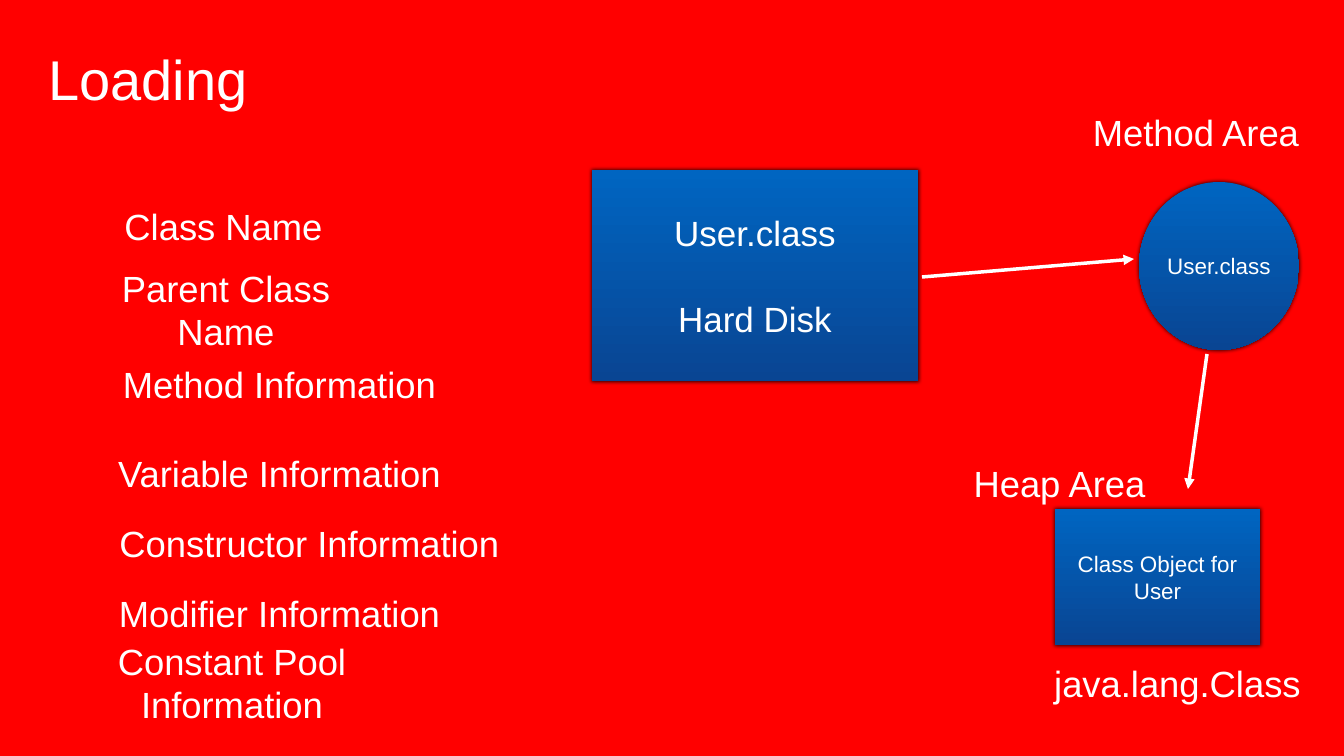
from lxml import etree
from pptx import Presentation
from pptx import util as u
from pptx.dml.color import RGBColor as Rgb
from pptx.enum import shapes, text
from pptx.oxml import ns

PX = 18143  # EMU in one px
THEME = {
    "back": Rgb(255, 0, 0), "ink": Rgb(255, 255, 255),
    "top": Rgb(0, 0x65, 0xC1), "base": Rgb(9, 0x45, 0x93), "shade": "000000",
    "title": 80, "label": 52, "disk": 50, "node": 32, "line": 5,
}
RECT, OVAL = shapes.MSO_SHAPE.RECTANGLE, shapes.MSO_SHAPE.OVAL
PAD, ROW, GAP = 3, 49, 62  # px, px, pt

TITLE = ("Loading", 42, 42, 212, 73)
# text, left, top, width, room kept free at the right so the text wraps
LABELS = [
    ("Class Name", 121, 201, 205, 0),
    ("Parent Class Name", 120, 285, 319, 107),
    ("Method Information", 118, 359, 323, 0),
    ("Variable Information", 114, 448, 331, 0),
    ("Constructor Information", 115, 518, 389, 0),
    ("Modifier Information", 114, 588, 331, 0),
    ("Constant Pool Information", 115, 658, 426, 192),
    ("java.lang.Class", 1050, 658, 255, 0),
    ("Method Area", 1088, 107, 216, 0),
    ("Heap Area", 969, 458, 181, 0),
]
NODES = [
    (RECT, ["User.class", "Hard Disk"], "disk", (592, 170, 326, 211)),
    (OVAL, ["User.class"], "node", (1139, 182, 160, 168)),
    (RECT, ["Class Object for User"], "node", (1055, 509, 205, 136)),
]
ARROWS = [(922, 277, 1134, 259), (1207, 354, 1188, 489)]


def px(*nums):
    return [u.Emu(n * PX) for n in nums]


def sub(node, tag, **attrs):
    return etree.SubElement(node, ns.qn(tag), attrs)


def write(shape, lines, size, wrap=True, room=0):
    frame = shape.text_frame
    frame.word_wrap = wrap
    frame.vertical_anchor = text.MSO_ANCHOR.MIDDLE
    left = 0 if room else PAD
    (frame.margin_left, frame.margin_top,
     frame.margin_right, frame.margin_bottom) = px(left, PAD, room or PAD, PAD)
    for i, line in enumerate(lines):
        para = frame.add_paragraph() if i else frame.paragraphs[0]
        para.text = line
        para.alignment = text.PP_ALIGN.CENTER
        para.space_before = u.Pt(GAP if i else 0)
        para.font.name = "Arial"
        para.font.size = u.Pt(THEME[size])
        para.font.color.rgb = THEME["ink"]


def add_label(slide, words, box, size, room=0):
    shape = slide.shapes.add_textbox(*px(*box))
    write(shape, [words], size, room > 0, room)


def add_node(slide, kind, lines, size, box):
    shape = slide.shapes.add_shape(kind, *px(*box))
    shape.fill.gradient()
    shape.fill.gradient_angle = 270
    for stop, tone, at in zip(shape.fill.gradient_stops, ("top", "base"), (0, 1)):
        stop.color.rgb = THEME[tone]
        stop.position = at
    shape.line.fill.background()
    shape.shadow.inherit = False
    glow = sub(shape.element.spPr.find(ns.qn("a:effectLst")), "a:outerShdw",
               blurRad=str(u.Pt(6)), dist="0", dir="18900000", rotWithShape="0")
    sub(sub(glow, "a:srgbClr", val=THEME["shade"]), "a:alpha", val="80000")
    write(shape, lines, size)


def add_arrow(slide, ends):
    line = slide.shapes.add_connector(shapes.MSO_CONNECTOR.STRAIGHT, *px(*ends))
    line.line.color.rgb = THEME["ink"]
    line.line.width = u.Pt(THEME["line"])
    sub(line.line._get_or_add_ln(), "a:tailEnd", type="triangle")
    sub(line.element.spPr, "a:effectLst")


def main():
    deck = Presentation()
    deck.slide_width, deck.slide_height = px(1344, 756)
    slide = deck.slides.add_slide(deck.slide_layouts[6])
    slide.background.fill.solid()
    slide.background.fill.fore_color.rgb = THEME["back"]
    add_label(slide, TITLE[0], TITLE[1:], "title")
    for node in NODES:
        add_node(slide, *node)
    for ends in ARROWS:
        add_arrow(slide, ends)
    for words, left, top, width, room in LABELS:
        add_label(slide, words, (left, top, width, ROW), "label", room)
    deck.save("out.pptx")


if __name__ == "__main__":
    main()
